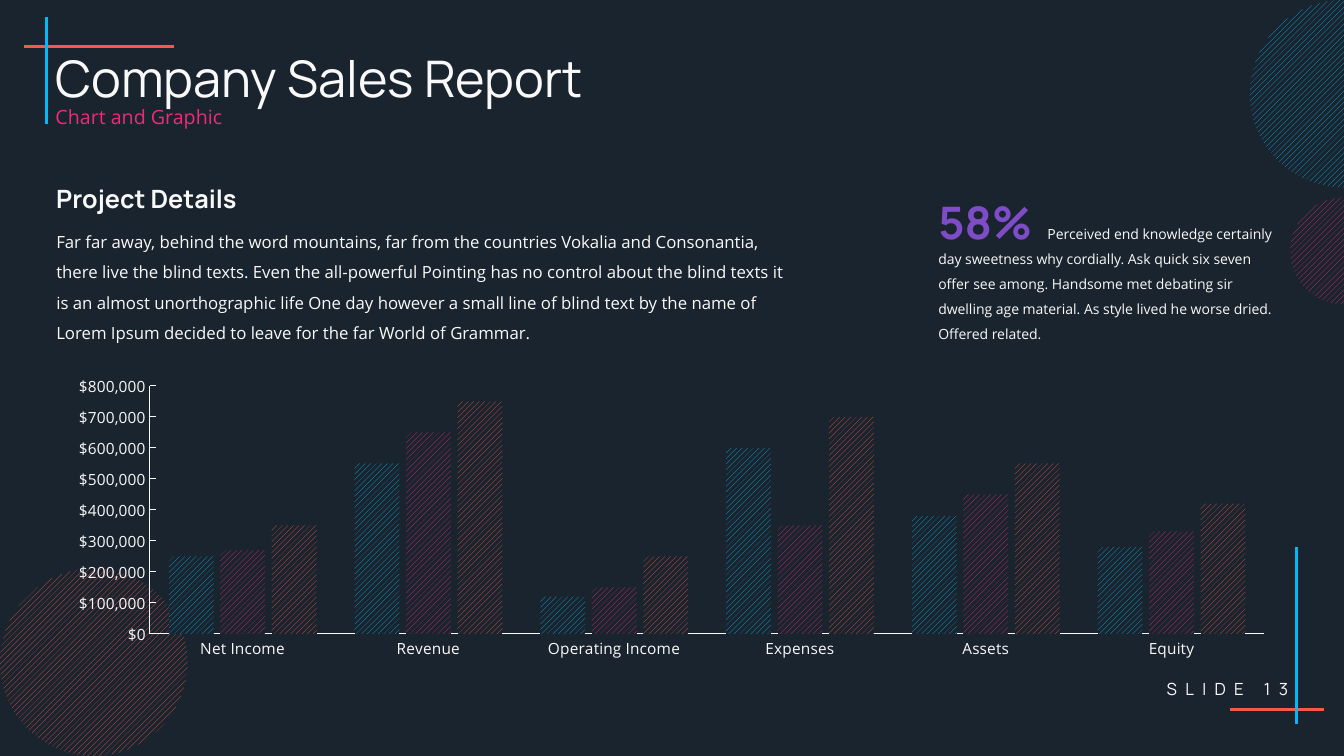
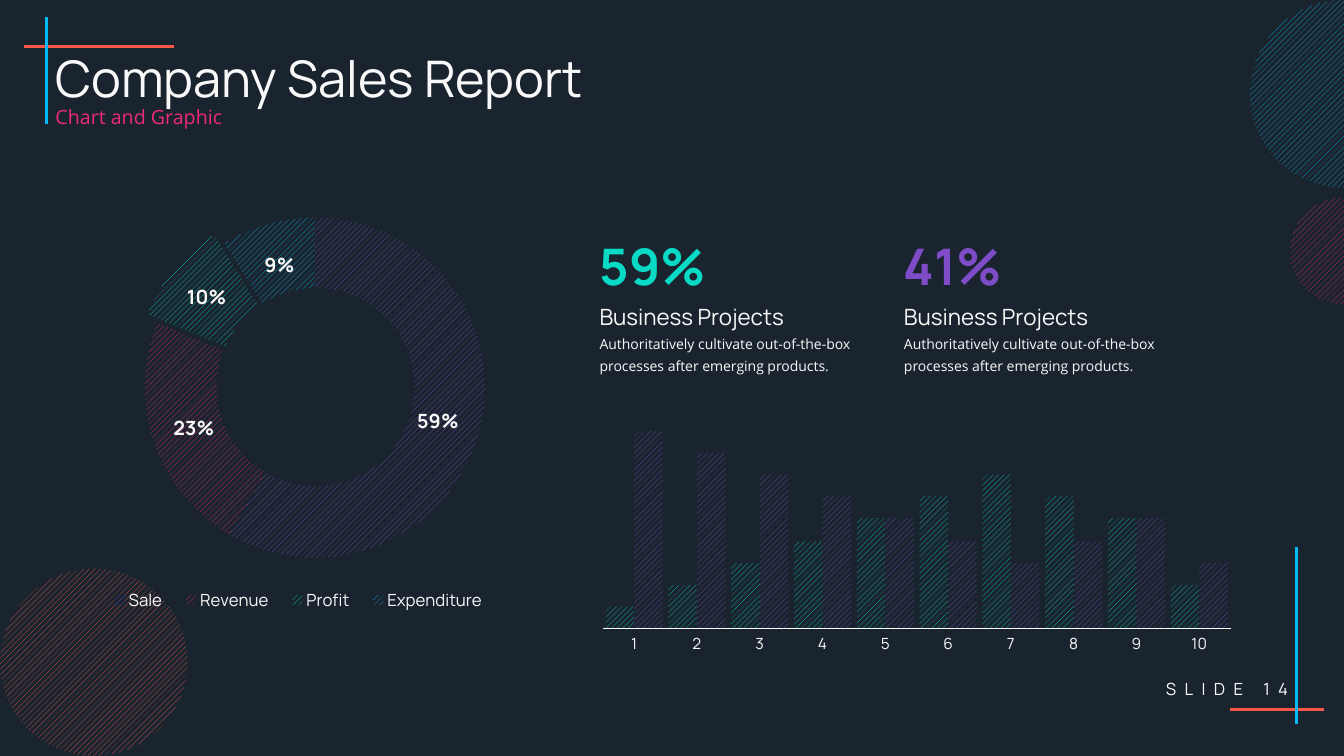
"""Build two dark sales report slides with hatched charts."""
from dataclasses import dataclass

from lxml import etree
from pptx import Presentation
from pptx.chart.data import CategoryChartData
from pptx.dml.color import RGBColor
from pptx.enum.chart import XL_CHART_TYPE, XL_LEGEND_POSITION, XL_TICK_MARK
from pptx.enum.dml import MSO_PATTERN
from pptx.enum.shapes import MSO_CONNECTOR, MSO_SHAPE
from pptx.enum.text import MSO_ANCHOR, MSO_AUTO_SIZE, PP_ALIGN
from pptx.oxml.ns import qn
from pptx.util import Pt

COLUMNS = XL_CHART_TYPE.COLUMN_CLUSTERED
DOUGHNUT = XL_CHART_TYPE.DOUGHNUT
LEGEND_BELOW = XL_LEGEND_POSITION.BOTTOM
TICK_NONE, TICK_INSIDE = XL_TICK_MARK.NONE, XL_TICK_MARK.INSIDE
WIDE_DIAGONAL = MSO_PATTERN.WIDE_UPWARD_DIAGONAL
STRAIGHT, OVAL = MSO_CONNECTOR.STRAIGHT, MSO_SHAPE.OVAL
TOP, MIDDLE = MSO_ANCHOR.TOP, MSO_ANCHOR.MIDDLE
LEFT, RIGHT = PP_ALIGN.LEFT, PP_ALIGN.RIGHT
FIXED_SIZE = MSO_AUTO_SIZE.NONE

NIGHT, WHITE, AXIS_WHITE = "1A242E", "F9F9F9", "FEFEFE"
CORAL, SKY, PINK, VIOLET, TEAL = "F75847", "05B9F6", "EF2A79", "7E4CC7", "08DAC6"
HEADING, BODY = "Manrope", "Open Sans"


@dataclass(frozen=True)
class Box:
    """A frame in points."""
    left: float
    top: float
    width: float
    height: float

    def lengths(self) -> tuple:
        """Return the four sides as lengths."""
        return Pt(self.left), Pt(self.top), Pt(self.width), Pt(self.height)


@dataclass(frozen=True)
class Style:
    """The look of one run and its paragraph."""
    size: float
    font: str = BODY
    color: str = WHITE
    bold: bool = False
    line_spacing: float = 1.0
    space_before: float = 0
    align: PP_ALIGN = LEFT
    tracking: float = 0
    first_indent: float = 0


@dataclass(frozen=True)
class Rule:
    """A straight accent line."""
    x1: float
    y1: float
    x2: float
    y2: float
    color: str


@dataclass(frozen=True)
class Disc:
    """A hatched circle."""
    left: float
    top: float
    size: float
    color: str


@dataclass(frozen=True)
class Stat:
    """A large figure with its colour and left edge."""
    figure: str
    color: str
    left: float


@dataclass(frozen=True)
class Series:
    """One coloured column series."""
    name: str
    values: tuple
    color: str


RULES = (
    Rule(124.56, 33.12, 17.28, 33.12, CORAL),
    Rule(33.12, 88.56, 33.12, 12.24, SKY),
    Rule(878.4, 506.88, 946.08, 506.88, CORAL),
    Rule(925.92, 390.96, 925.92, 516.96, SKY),
)
DISCS = (
    Disc(0, 406.08, 133.92, CORAL),
    Disc(921.6, 141.12, 76.32, PINK),
    Disc(892.8, 0, 133.92, SKY),
)
STATS = (Stat("59%", TEAL, 421.2), Stat("41%", VIOLET, 638.64))
SALES = (
    Series("Series 1", (250000, 550000, 120000, 600000, 380000, 280000), SKY),
    Series("Series 2", (270000, 650000, 150000, 350000, 450000, 330000), PINK),
    Series("Series 3", (350000, 750000, 250000, 700000, 550000, 420000), CORAL),
)
PROJECTS = (
    Series("Series 1", (11, 22, 33, 44, 56, 67, 78, 67, 56, 22), TEAL),
    Series("Series 2", (100, 89, 78, 67, 56, 44, 33, 44, 56, 33), VIOLET),
)


def rgb(value: str) -> RGBColor:
    """Turn a hex string into a colour."""
    return RGBColor.from_string(value)


def set_font(font, style: Style) -> None:
    """Apply a style to a font."""
    font.name, font.size, font.bold = style.font, Pt(style.size), style.bold
    font.color.rgb = rgb(style.color)


def hatch(fill, color: str) -> None:
    """Fill with wide diagonal stripes on the background colour."""
    fill.patterned()
    fill.pattern = WIDE_DIAGONAL
    fill.fore_color.rgb = rgb(color)
    fill.back_color.rgb = rgb(NIGHT)


def write(shape, box: Box, lines: list, anchor=TOP) -> None:
    """Place a text shape and write one styled run per paragraph."""
    shape.left, shape.top, shape.width, shape.height = box.lengths()
    frame = shape.text_frame
    frame.word_wrap, frame.auto_size = True, FIXED_SIZE
    frame.vertical_anchor = anchor
    for index, (text, style) in enumerate(lines):
        paragraph = frame.add_paragraph() if index else frame.paragraphs[0]
        paragraph.alignment = style.align
        paragraph.line_spacing = style.line_spacing
        paragraph.space_before = Pt(style.space_before)
        properties = paragraph._p.get_or_add_pPr()
        properties.set("marL", "0")
        properties.set("indent", str(Pt(style.first_indent)))
        etree.SubElement(properties, qn("a:buNone"))
        run = paragraph.add_run()
        run.text = text
        set_font(run.font, style)
        if style.tracking:
            run._r.get_or_add_rPr().set("spc", str(int(style.tracking * 100)))


def add_text(slide, box: Box, lines: list, anchor=TOP) -> None:
    """Add a text box."""
    write(slide.shapes.add_textbox(*box.lengths()), box, lines, anchor)


def add_rule(slide, rule: Rule) -> None:
    """Draw an accent line without shadow."""
    line = slide.shapes.add_connector(
        STRAIGHT, Pt(rule.x1), Pt(rule.y1), Pt(rule.x2), Pt(rule.y2))
    line.line.color.rgb = rgb(rule.color)
    line.line.width = Pt(2)
    etree.SubElement(line._element.spPr, qn("a:effectLst"))


def add_circle(slide, left: float, top: float, size: float):
    """Add a circle without outline or shadow."""
    circle = slide.shapes.add_shape(OVAL, *Box(left, top, size, size).lengths())
    circle.shadow.inherit = False
    circle.line.fill.background()
    return circle


def add_report_slide(prs, number: int):
    """Add a slide with the shared decoration, title and number."""
    slide = prs.slides.add_slide(prs.slide_layouts[1])
    for rule in RULES:
        add_rule(slide, rule)
    for disc in DISCS:
        hatch(add_circle(slide, disc.left, disc.top, disc.size).fill, disc.color)
    add_text(slide, Box(777.6, 477.36, 149.76, 29.52),
             [(f"SLIDE {number}", Style(12, HEADING, align=RIGHT, tracking=6))], MIDDLE)
    write(slide.placeholders[1], Box(32.4, 61.2, 894.96, 46.08),
          [("Chart and Graphic", Style(14, color=PINK, line_spacing=0.9, space_before=10))], MIDDLE)
    write(slide.shapes.title, Box(32.4, 35.28, 894.96, 46.08),
          [("Company Sales Report", Style(36, HEADING, line_spacing=0.9, space_before=10))], MIDDLE)
    return slide


def set_layout(parent, position: int, area: tuple, inner: bool = False) -> None:
    """Give a chart part a manual place as fractions of the chart."""
    for old in parent.findall(qn("c:layout")):
        parent.remove(old)
    layout = etree.Element(qn("c:layout"))
    manual = etree.SubElement(layout, qn("c:manualLayout"))
    settings = [("layoutTarget", "inner")] if inner else []
    settings += [("xMode", "edge"), ("yMode", "edge")]
    settings += zip("xywh", map(str, area))
    for tag, value in settings:
        etree.SubElement(manual, qn(f"c:{tag}")).set("val", value)
    parent.insert(position, layout)


def add_chart(slide, kind, box: Box, categories: list, series: tuple, area: tuple):
    """Add a chart with its plot area placed by hand."""
    data = CategoryChartData()
    data.categories = categories
    for item in series:
        data.add_series(item.name, item.values)
    chart = slide.shapes.add_chart(kind, *box.lengths(), data).chart
    chart.has_title = chart.has_legend = False
    set_font(chart.font, Style(10))
    set_layout(chart._chartSpace.find(".//" + qn("c:plotArea")), 0, area, True)
    return chart


def style_axis(axis, style: Style, tick, line_color: str) -> None:
    """Format axis labels, ticks and line."""
    set_font(axis.tick_labels.font, style)
    axis.major_tick_mark, axis.minor_tick_mark = tick, TICK_NONE
    axis.has_major_gridlines = False
    axis.format.line.color.rgb = rgb(line_color)
    axis.format.line.width = Pt(0.75)


def add_columns(slide, box: Box, categories: list, series: tuple, area: tuple,
                gap: int, overlap: int, top_value: float, label_font: str, line_color: str):
    """Add a clustered column chart in hatched colours."""
    chart = add_chart(slide, COLUMNS, box, categories, series, area)
    plot = chart.plots[0]
    plot.vary_by_categories = False
    plot.gap_width, plot.overlap = gap, overlap
    for drawn, item in zip(plot.series, series):
        hatch(drawn.format.fill, item.color)
        drawn.format.line.fill.background()
    label = Style(11, label_font)
    style_axis(chart.category_axis, label, TICK_NONE, line_color)
    style_axis(chart.value_axis, label, TICK_INSIDE, line_color)
    chart.value_axis.minimum_scale, chart.value_axis.maximum_scale = 0, top_value
    return chart


def add_share_ring(slide) -> None:
    """Add the doughnut of shares with Profit pulled out."""
    shares = (Series("Series 1", (59, 23, 10, 9), VIOLET),)
    chart = add_chart(slide, DOUGHNUT, Box(0, 85.68, 430.56, 385.2),
                      ["Sale", "Revenue", "Profit", "Expenditure"], shares,
                      (0.24, 0.181, 0.565, 0.631))
    plot = chart.plots[0]
    plot.vary_by_categories = True
    chart._chartSpace.find(".//" + qn("c:holeSize")).set("val", "55")
    for index, color in enumerate((VIOLET, PINK, TEAL, SKY)):
        look = plot.series[0].points[index].format
        hatch(look.fill, color)
        look.line.fill.background()
    profit = chart._chartSpace.findall(".//" + qn("c:dPt"))[2]
    explosion = etree.Element(qn("c:explosion"))
    explosion.set("val", "16")
    profit.find(qn("c:spPr")).addprevious(explosion)
    plot.has_data_labels = True
    labels = plot.data_labels
    labels.show_value, labels.show_percentage = True, False
    labels.number_format, labels.number_format_is_linked = '0"%"', False
    set_font(labels.font, Style(14, HEADING, bold=True))
    chart.has_legend = True
    chart.legend.position, chart.legend.include_in_layout = LEGEND_BELOW, False
    set_font(chart.legend.font, Style(12, HEADING))
    set_layout(chart._chartSpace.find(".//" + qn("c:legend")), 1, (0.16, 0.86, 0.67, 0.06))


def build_sales_slide(prs) -> None:
    """Build the slide with project details and sales columns."""
    slide = add_report_slide(prs, 13)
    chart = add_columns(
        slide, Box(38.16, 264.24, 882.72, 210.96),
        ["Net Income", "Revenue", "Operating Income", "Expenses", "Assets", "Equity"],
        SALES, (0.078, 0.054, 0.902, 0.84), 85, -15, 800000, BODY, WHITE)
    chart.value_axis.major_unit = 100000
    labels = chart.value_axis.tick_labels
    labels.number_format, labels.number_format_is_linked = '"$"#,##0', False
    add_text(slide, Box(663.12, 136.08, 87.84, 43.92),
             [("58%", Style(32, HEADING, VIOLET, True))], MIDDLE)
    add_text(slide, Box(663.12, 151.2, 257.76, 97.92), [(
        "Perceived end knowledge certainly day sweetness why cordially. Ask quick six seven "
        "offer see among. Handsome met debating sir dwelling age material. As style lived he "
        "worse dried. Offered related.", Style(10, line_spacing=1.5, first_indent=78))])
    add_text(slide, Box(33.12, 120.96, 434.16, 33.84),
             [("Project Details", Style(18, HEADING, bold=True, line_spacing=1.3))])
    add_text(slide, Box(33.12, 154.8, 536.4, 94.32), [(
        "Far far away, behind the word mountains, far from the countries Vokalia and "
        "Consonantia, there live the blind texts. Even the all-powerful Pointing has no control "
        "about the blind texts it is an almost unorthographic life One day however a small line "
        "of blind text by the name of Lorem Ipsum decided to leave for the far World of Grammar.",
        Style(12, line_spacing=1.5))])


def build_share_slide(prs) -> None:
    """Build the slide with the share ring, two figures and columns."""
    slide = add_report_slide(prs, 14)
    add_share_ring(slide)
    for stat in STATS:
        add_text(slide, Box(stat.left, 151.2, 205.92, 120.96), [
            (stat.figure, Style(36, HEADING, stat.color, True, 1.3)),
            ("Business Projects", Style(16, HEADING, line_spacing=1.3)),
            ("Authoritatively cultivate out-of-the-box processes after emerging products.",
             Style(10, line_spacing=1.3))])
    chart = add_columns(slide, Box(421.2, 288.72, 467.28, 182.16),
                        [str(number) for number in range(1, 11)], PROJECTS,
                        (0.02, 0.106, 0.96, 0.773), 20, 0, 100, HEADING, AXIS_WHITE)
    chart.value_axis.visible = False
    add_circle_hole = add_circle(slide, 154.8, 205.92, 141.12)
    add_circle_hole.fill.solid()
    add_circle_hole.fill.fore_color.rgb = rgb(NIGHT)


def main() -> None:
    """Create and save the presentation."""
    prs = Presentation()
    prs.slide_width, prs.slide_height = Pt(960), Pt(540)
    backdrop = prs.slide_master.background.fill
    backdrop.solid()
    backdrop.fore_color.rgb = rgb(NIGHT)
    build_sales_slide(prs)
    build_share_slide(prs)
    prs.save("out.pptx")


main()
